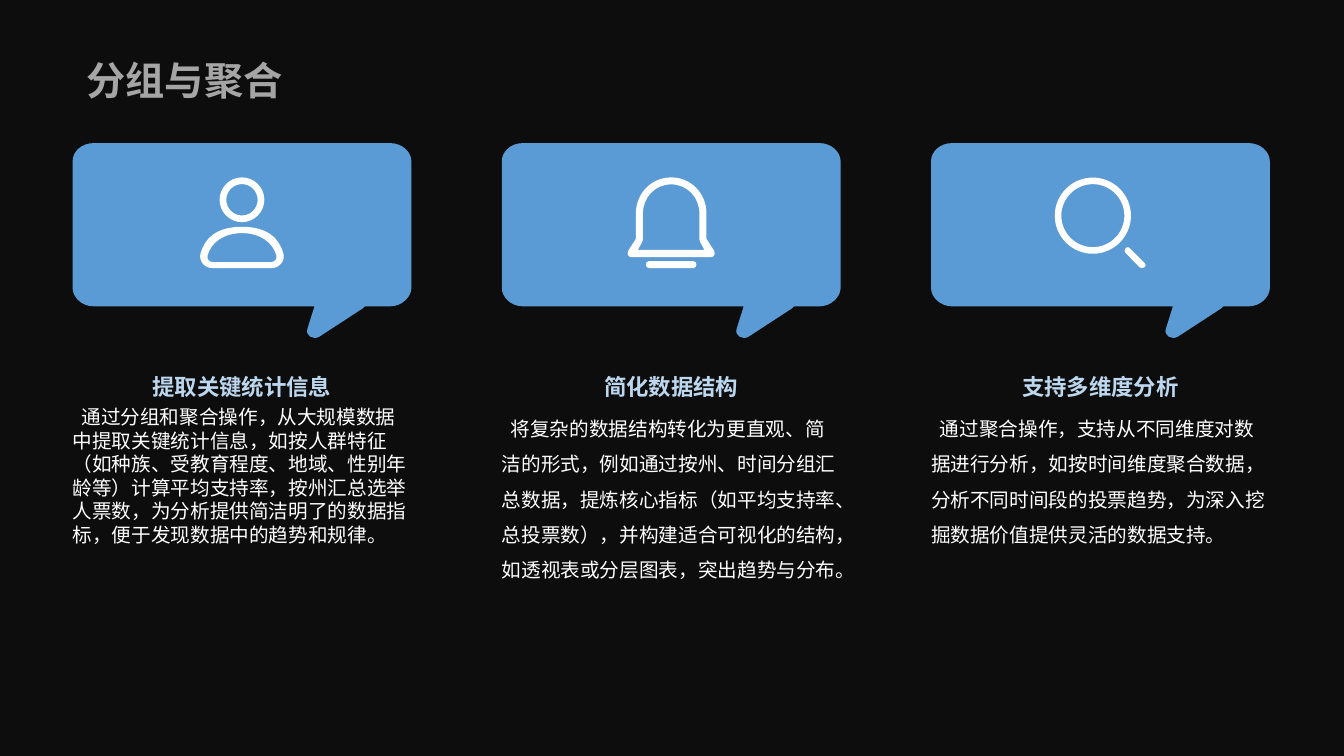
from lxml import etree
from pptx import Presentation
from pptx import util as u
from pptx.dml import color
from pptx.enum import text
from pptx.oxml import ns, parse_xml

Pt = u.Pt
FONT = "Noto Sans CJK SC"
HUES = {"back": "0D0D0D", "blue": "5B9BD5", "pale": "BDD7EE", "white": "FFFFFF",
        "light": "E8E8E8", "mid": "A5A5A5", "dark": "8C8C8C"}
LEFT, TOP, WIDE, PITCH = 51.84, 102.24, 242, 306.6

deck = Presentation()
deck.slide_width, deck.slide_height = Pt(960), Pt(540)
slide = deck.slides.add_slide(deck.slide_layouts[6])
slide.background.fill.solid()
slide.background.fill.fore_color.rgb = color.RGBColor.from_string(HUES["back"])


def trace(start, *steps):
    """Points of an outline, and per step 1 (line) or 3 (cubic curve)."""
    spots = [start]
    for step in steps:
        spots += zip(step[::2], step[1::2])
    return spots, [len(step) // 2 for step in steps]


def label(words, box, size, hue, line, bold=False):
    """Text box without margins; returns its frame."""
    frame = slide.shapes.add_textbox(*map(Pt, box)).text_frame
    frame.word_wrap = True
    frame.margin_left = frame.margin_right = frame.margin_top = frame.margin_bottom = 0
    para = frame.paragraphs[0]
    para.text = words
    para.line_spacing = line
    font = para.runs[0].font
    font.size, font.bold, font.name = Pt(size), bold, FONT
    font.color.rgb = color.RGBColor.from_string(HUES[hue])
    east = etree.SubElement(para.runs[0]._r.get_or_add_rPr(), ns.qn("a:ea"))
    east.set("typeface", FONT)
    return frame


# Speech bubble, measured from the corner of its card
bubble = trace((15, 0), (227, 0), (235, 0, 242, 6, 242, 13), (242, 103.5),
               (242, 110, 235, 116.6, 227, 116.6), (209, 116.6),
               (208.4, 116.6, 208, 117.4, 207.4, 118), (176.4, 138.2),
               (172, 141, 166, 137.5, 167.8, 132.5), (172.8, 116.6), (15, 116.6),
               (6.5, 116.6, 0, 110, 0, 103.5), (0, 13), (0, 6, 6.5, 0, 15, 0))

# Icons: rings (x, y, radii), left halves to mirror, whole outlines
person = {
    "rings": (121, 40.5, (16, 11.2)),
    "halves": [
        trace((121, 59.8), (101.5, 59.8, 94.3, 69.1, 91.5, 78.5),
              (89.8, 84.2, 94.3, 89.3, 100, 89.3), (121, 89.3)),
        trace((121, 64.3), (108, 64.3, 99, 71, 96.5, 80),
              (95.5, 83, 98, 85, 100, 85), (121, 85))],
    "whole": []}
bell = {
    "rings": (0, 0, ()),
    "halves": [
        trace((121, 84.3), (105.2, 84.3), (102.2, 84.3, 102.2, 89.3, 105.2, 89.3),
              (121, 89.3)),
        trace((121, 24.5), (107, 24.5, 95.8, 35.8, 95.8, 50.4), (95.8, 68.4), (90.3, 77),
              (89.4, 79.5, 90.3, 81.4, 92.5, 81.4), (121, 81.4)),
        trace((121, 29.5), (109.4, 29.5, 100.8, 38.9, 100.8, 50.4), (100.8, 69.1),
              (100.8, 69.8, 100.8, 70.6, 100.1, 71), (97.2, 76.3), (121, 76.3))],
    "whole": []}
lens = {
    "rings": (115.6, 51.8, (27.2, 22.5)),
    "halves": [],
    "whole": [trace((149, 88.6), (139, 78.5), (138, 77.5, 138, 76, 139, 75),
                    (140, 74, 141.3, 74, 142, 75), (152.6, 85.7),
                    (153.6, 86.7, 153.6, 88, 152.6, 88.6),
                    (151.5, 89.6, 150, 89.6, 149, 88.6))]}

cards = [
    (person, "提取关键统计信息", 1.0,
     "通过分组和聚合操作，从大规模数据中提取关键统计信息，如按人群特征（如种族、受教育程度、地域、性别年龄等）"
     "计算平均支持率，按州汇总选举人票数，为分析提供简洁明了的数据指标，便于发现数据中的趋势和规律。"),
    (bell, "简化数据结构", 1.5,
     "将复杂的数据结构转化为更直观、简洁的形式，例如通过按州、时间分组汇总数据，提炼核心指标"
     "（如平均支持率、总投票数），并构建适合可视化的结构，如透视表或分层图表，突出趋势与分布。"),
    (lens, "支持多维度分析", 1.5,
     "通过聚合操作，支持从不同维度对数据进行分析，如按时间维度聚合数据，分析不同时间段的投票趋势，"
     "为深入挖掘数据价值提供灵活的数据支持。"),
]

# Three cards
for col, (icon, head, line, body) in enumerate(cards):
    left = LEFT + col * PITCH
    marks = list(icon["whole"])
    x, y, radii = icon["rings"]
    for r in radii:
        k = r * 0.55
        marks.append(trace((x, y - r), (x + k, y - r, x + r, y - k, x + r, y),
                           (x + r, y + k, x + k, y + r, x, y + r),
                           (x - k, y + r, x - r, y + k, x - r, y),
                           (x - r, y - k, x - k, y - r, x, y - r)))
    for spots, sizes in icon["halves"]:
        twin = [(WIDE - a, b) for a, b in spots[-2::-1]]
        marks.append((spots + twin, sizes + sizes[::-1]))

    for loops, hue in (([bubble], "blue"), (marks, "white")):
        pen = None
        for spots, sizes in loops:
            ends = [(Pt(left + a), Pt(TOP + b)) for a, b in spots]
            if pen is None:
                pen = slide.shapes.build_freeform(*ends[0], scale=1.0)
            else:
                pen.move_to(*ends[0])
            pen.add_line_segments(ends[1:], close=True)
        form = pen.convert_to_shape()
        form.shadow.inherit = False
        form.fill.solid()
        form.fill.fore_color.rgb = color.RGBColor.from_string(HUES[hue])
        form.line.fill.background()
        # Join every three control points into one curve
        legs = iter(list(form._element.iter(ns.qn("a:lnTo"))))
        for size in (n for spots, sizes in loops for n in sizes):
            leg = next(legs)
            if size == 3:
                curve = etree.Element(ns.qn("a:cubicBezTo"))
                leg.addprevious(curve)
                for part in (leg, next(legs), next(legs)):
                    curve.append(part[0])
                    part.getparent().remove(part)

    frame = label(body, (left, 289.44, WIDE, 198), 14, "white", line)
    frame.paragraphs[0]._p.get_or_add_pPr().set("indent", str(Pt(6.3)))
    frame = label(head, (left, 251.5, WIDE, 34.3), 16, "pale", 1.3, True)
    frame.vertical_anchor = text.MSO_ANCHOR.BOTTOM
    frame.paragraphs[0].alignment = text.PP_ALIGN.CENTER

# Title with a grey gradient
frame = label("分组与聚合", (61.92, 36.72, 840.24, 36.72), 28, "mid", 1.1, True)
frame.vertical_anchor = text.MSO_ANCHOR.MIDDLE
props = frame.paragraphs[0].runs[0]._r.get_or_add_rPr()
stops = "".join(f'<a:gs pos="{pos}"><a:srgbClr val="{HUES[hue]}"/></a:gs>'
                for pos, hue in ((0, "light"), (50000, "mid"), (100000, "dark")))
props.replace(props.find(ns.qn("a:solidFill")), parse_xml(
    f'<a:gradFill {ns.nsdecls("a")}><a:gsLst>{stops}</a:gsLst>'
    '<a:lin ang="5400000" scaled="0"/></a:gradFill>'))

deck.save("out.pptx")
